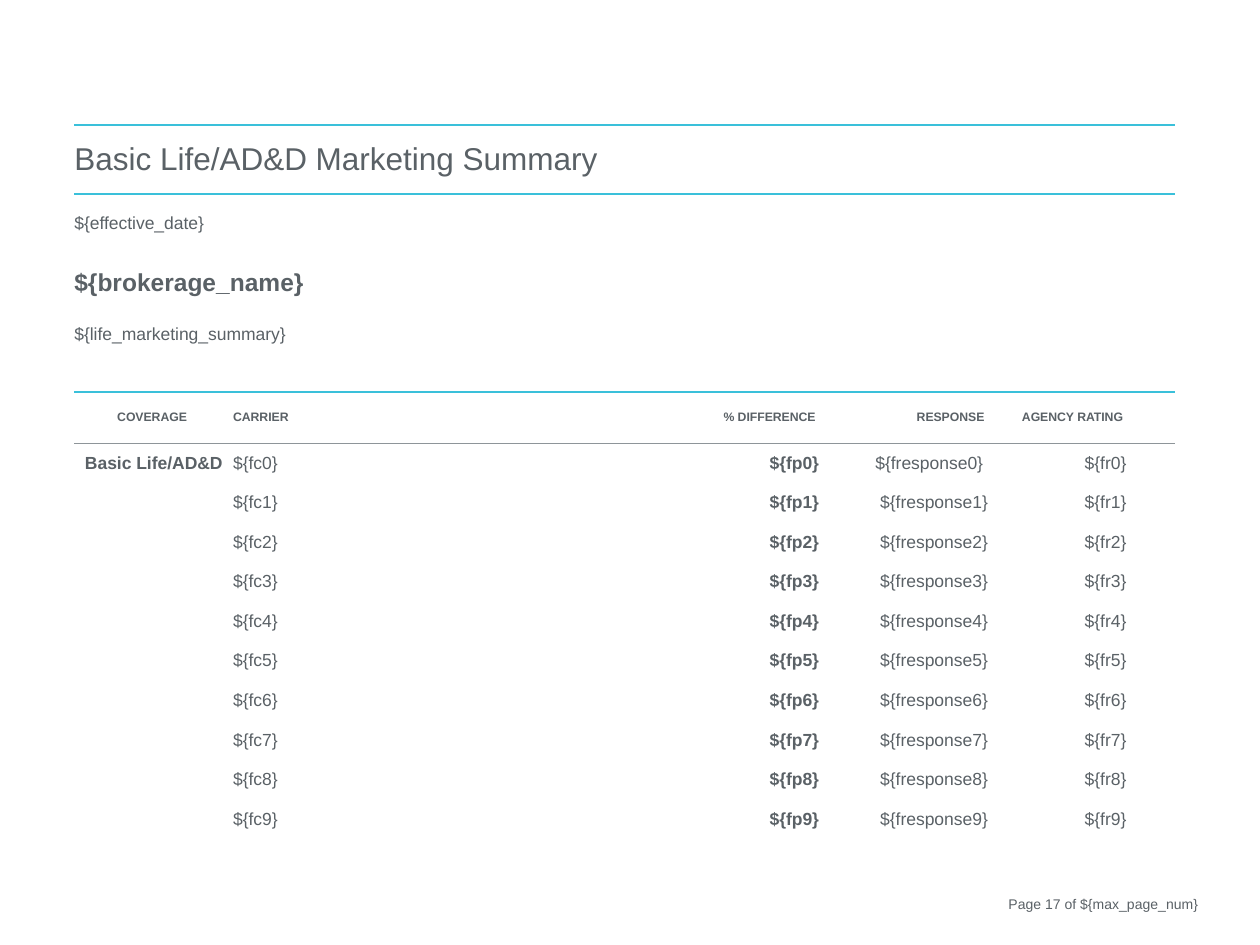
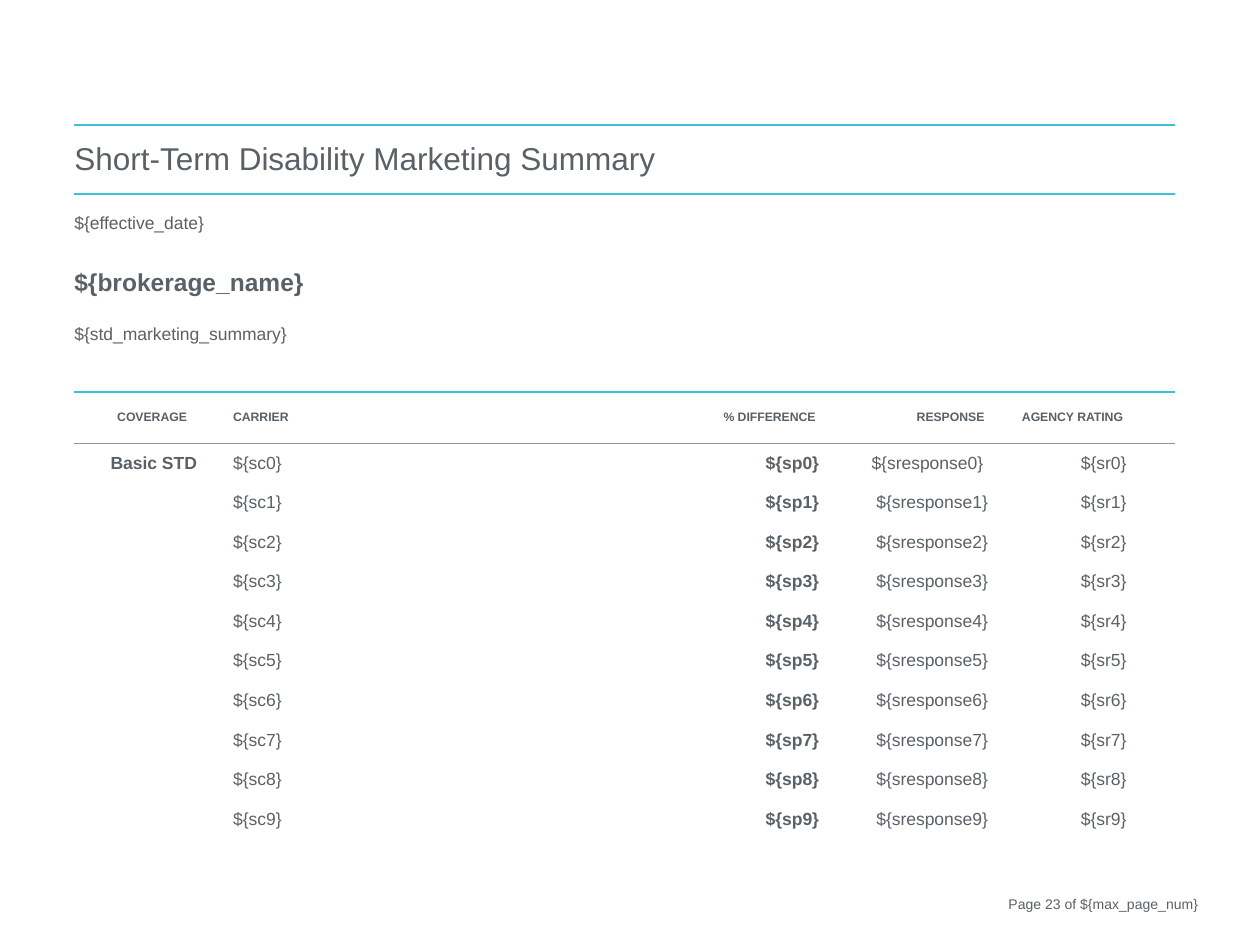
from lxml import etree
from pptx import Presentation
from pptx.dml.color import RGBColor
from pptx.enum.text import MSO_ANCHOR, PP_ALIGN
from pptx.oxml.ns import qn
from pptx.util import Inches, Pt

LEFT, CENTER, RIGHT = PP_ALIGN.LEFT, PP_ALIGN.CENTER, PP_ALIGN.RIGHT
TOP, MIDDLE = MSO_ANCHOR.TOP, MSO_ANCHOR.MIDDLE

FONT = "Arial"
INK = "5A6166"
TEAL = "3AC0DA"
GRAY = "8E9599"
NO_STYLE = "{2D5ABB26-0587-4C30-8999-92F81FD0307C}"

SLIDE_W, SLIDE_H = 10, 7.5
TABLE_BOX = (0.59, 0.99, 8.74, 5.67)
FOOTER_BOX = (7.36, 7.06, 2.25, 0.33)
COLS = [1.26, 2.21, 2.44, 1.34, 1.1]
HEAD_ROWS = [0.55, 1.57, 0.41]
CARRIERS = 10
TITLE_ROW, INTRO_ROW, HEADER_ROW, FIRST_ROW = range(4)
RULES = {
    TITLE_ROW: (TEAL, TEAL),
    INTRO_ROW: (TEAL, TEAL),
    HEADER_ROW: (TEAL, GRAY),
    FIRST_ROW: (GRAY, None),
}
HEADERS = ["COVERAGE ", "CARRIER", "% DIFFERENCE ", "RESPONSE ", "AGENCY RATING "]
ALIGNS = [CENTER, LEFT, RIGHT, RIGHT, RIGHT]
BOLDS = [True, False, True, False, False]

SUMMARIES = [
    dict(title="Basic Life/AD&D Marketing Summary ", summary="${life_marketing_summary}",
         coverage="Basic Life/AD&D", prefix="f", page=17),
    dict(title="Short-Term Disability Marketing Summary ", summary="${std_marketing_summary}",
         coverage="Basic STD", prefix="s", page=23),
]


def rgb(color):
    return RGBColor.from_string(color)


def write(p, text, size=10, bold=False, align=LEFT, before=0):
    p.alignment = align
    p.space_before = Pt(before)
    r = p.add_run()
    r.text = text
    r.font.name = FONT
    r.font.size = Pt(size)
    r.font.bold = bold
    r.font.color.rgb = rgb(INK)


def add_rule(cell, side, color):
    tc_pr = cell._tc.get_or_add_tcPr()
    if color is None:
        ln = etree.SubElement(tc_pr, qn(f"a:{side}"), w="0")
        etree.SubElement(ln, qn("a:noFill"))
        return
    ln = etree.SubElement(tc_pr, qn(f"a:{side}"), w=str(Pt(1)))
    fill = etree.SubElement(ln, qn("a:solidFill"))
    etree.SubElement(fill, qn("a:srgbClr"), val=color)


def format_cell(cell, rules):
    cell.margin_left = cell.margin_right = cell.margin_top = cell.margin_bottom = 0
    cell.vertical_anchor = MIDDLE
    for side, color in zip(("lnT", "lnB"), rules):
        add_rule(cell, side, color)
    cell.fill.background()
    p = cell.text_frame.paragraphs[0]
    etree.SubElement(p._p, qn("a:endParaRPr"), sz="1000")


def add_grid(s, box):
    x, y, w, h = box
    widths = COLS + [w - sum(COLS)]
    heights = HEAD_ROWS + [(h - sum(HEAD_ROWS)) / CARRIERS] * CARRIERS
    frame = s.shapes.add_table(len(heights), len(widths), *map(Inches, box))
    table = frame.table
    table.first_row = table.horz_banding = False
    next(frame.element.iter(qn("a:tableStyleId"))).text = NO_STYLE
    for col, width in zip(table.columns, widths):
        col.width = Inches(width)
    for i, (row, height) in enumerate(zip(table.rows, heights)):
        row.height = Inches(height)
        for cell in row.cells:
            format_cell(cell, RULES.get(i, (None, None)))
    return table


def fill_intro(cell, summary):
    cell.vertical_anchor = TOP
    cell.margin_top = Inches(0.16)
    tf = cell.text_frame
    write(tf.paragraphs[0], "${effective_date}")
    write(tf.add_paragraph(), "${brokerage_name}", size=14, bold=True, before=20.5)
    write(tf.add_paragraph(), summary, before=15.5)


def add_summary_table(s, box, title, summary, coverage, prefix):
    table = add_grid(s, box)
    table.cell(TITLE_ROW, 0).merge(table.cell(TITLE_ROW, 4))
    table.cell(INTRO_ROW, 0).merge(table.cell(INTRO_ROW, 5))
    write(table.cell(TITLE_ROW, 0).text_frame.paragraphs[0], title, size=18)
    fill_intro(table.cell(INTRO_ROW, 0), summary)
    for col, (text, align) in enumerate(zip(HEADERS, ALIGNS)):
        write(table.cell(HEADER_ROW, col).text_frame.paragraphs[0], text,
              size=7, bold=True, align=align)
    for i in range(CARRIERS):
        values = [f"${{{prefix}{field}{i}}}" for field in ("c", "p", "response", "r")]
        if i == 0:
            values[2] += " "
        for col, text in enumerate([coverage if i == 0 else ""] + values):
            if text:
                write(table.cell(FIRST_ROW + i, col).text_frame.paragraphs[0], text,
                      bold=BOLDS[col], align=ALIGNS[col])


def add_footer(s, box, page):
    tf = s.shapes.add_textbox(*map(Inches, box)).text_frame
    tf.word_wrap = True
    write(tf.paragraphs[0], f"Page {page} of ${{max_page_num}}", size=8, align=RIGHT)


def add_summary_slide(prs, page, **content):
    s = prs.slides.add_slide(prs.slide_layouts[6])
    add_summary_table(s, TABLE_BOX, **content)
    add_footer(s, FOOTER_BOX, page)


prs = Presentation()
prs.slide_width, prs.slide_height = Inches(SLIDE_W), Inches(SLIDE_H)
for content in SUMMARIES:
    add_summary_slide(prs, **content)
prs.save("out.pptx")
